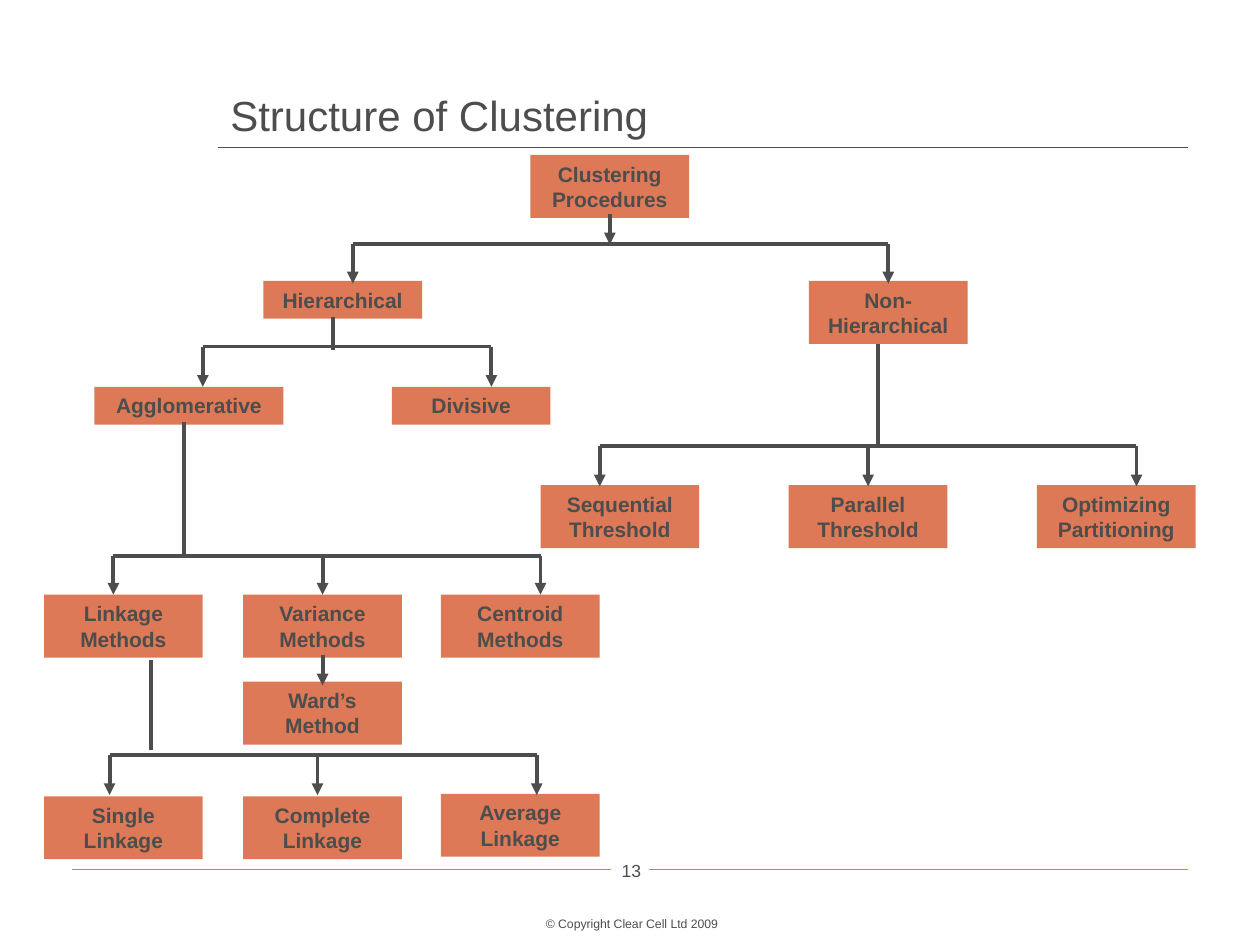
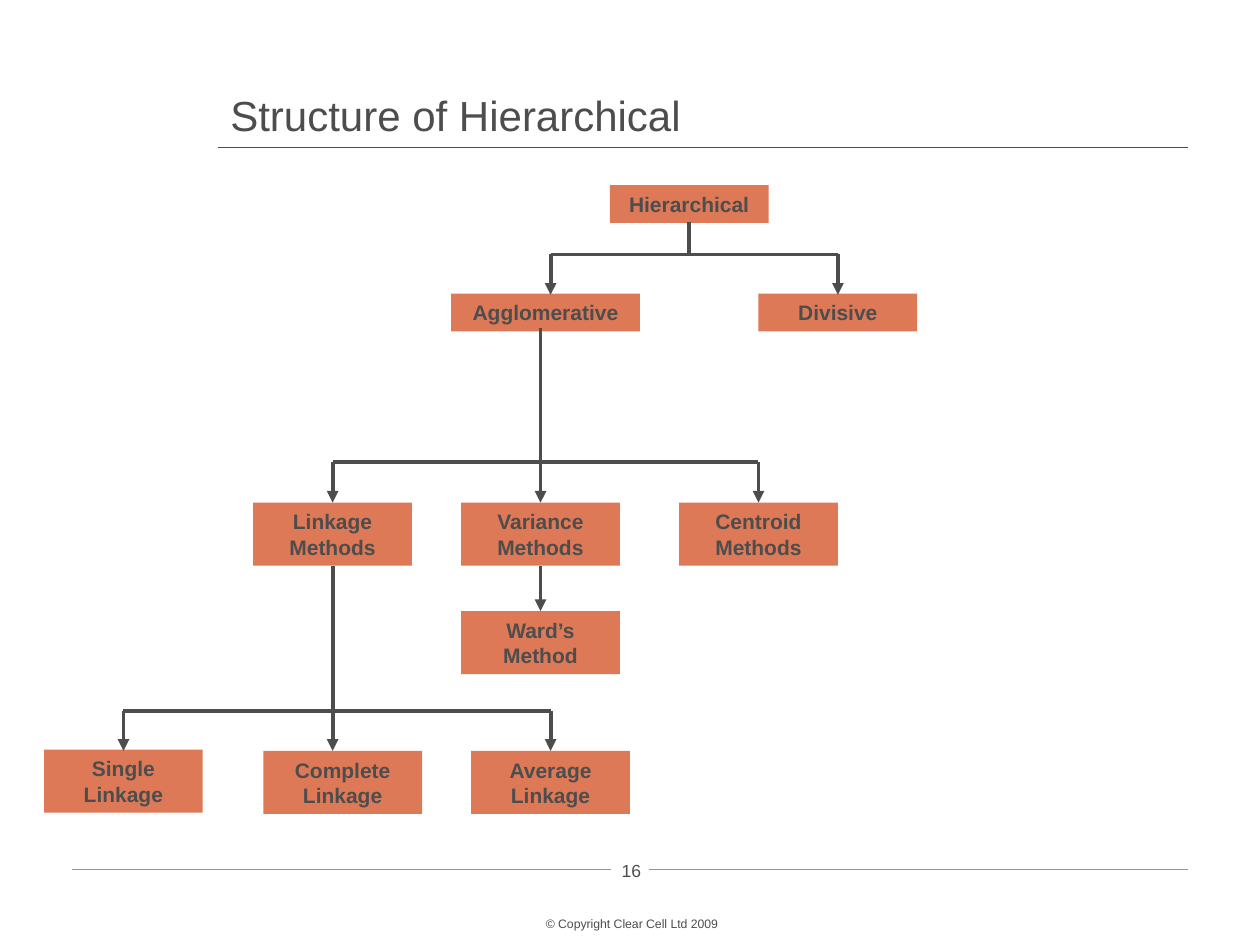
"""Build two slides of clustering tree diagrams."""
from lxml import etree
from pptx import Presentation, util as u
from pptx.dml.color import RGBColor
from pptx.enum import shapes, text
from pptx.oxml.ns import qn

COLORS = {"ink": "4D4D4D", "accent": "DD7956"}
FONT = "Arial"
COPYRIGHT = "© Copyright Clear Cell Ltd 2009"
BOX_W, ONE_LINE, TWO_LINES = 1.26, 0.3, 0.5

SLIDES = [
    {
        "title": "Structure of Clustering",
        "number": "13",
        "boxes": [
            ("Clustering Procedures", 4.21, 1.23, BOX_W, TWO_LINES),
            ("Hierarchical", 2.09, 2.23, BOX_W, ONE_LINE),
            ("Non-Hierarchical", 6.42, 2.23, BOX_W, TWO_LINES),
            ("Agglomerative", 0.75, 3.07, 1.5, ONE_LINE),
            ("Divisive", 3.11, 3.07, BOX_W, ONE_LINE),
            ("Sequential Threshold", 4.29, 3.85, BOX_W, TWO_LINES),
            ("Parallel Threshold", 6.26, 3.85, BOX_W, TWO_LINES),
            ("Optimizing Partitioning", 8.23, 3.85, BOX_W, TWO_LINES),
            ("Linkage Methods", 0.35, 4.72, BOX_W, TWO_LINES),
            ("Variance Methods", 1.93, 4.72, BOX_W, TWO_LINES),
            ("Centroid Methods", 3.5, 4.72, BOX_W, TWO_LINES),
            ("Ward’s Method", 1.93, 5.41, BOX_W, TWO_LINES),
            ("Single Linkage", 0.35, 6.32, BOX_W, TWO_LINES),
            ("Complete Linkage", 1.93, 6.32, BOX_W, TWO_LINES),
            ("Average Linkage", 3.5, 6.3, BOX_W, TWO_LINES),
        ],
        "branches": [
            (1.94, 2.25, [2.8, 7.05]),
            (2.75, 3.07, [1.61, 3.9]),
            (3.54, 3.86, [4.76, 6.89, 9.02]),
            (4.41, 4.72, [0.9, 2.56, 4.29]),
            (5.99, 6.31, [0.87, 2.52, 4.26]),
        ],
        "stems": [
            (4.84, 1.7, 1.94, True),
            (2.64, 2.52, 2.78, False),
            (6.97, 2.73, 3.54, False),
            (1.46, 3.35, 4.43, False),
            (2.56, 5.2, 5.44, True),
            (1.2, 5.24, 5.95, False),
        ],
    },
    {
        "title": "Structure of Hierarchical",
        "number": "16",
        "boxes": [
            ("Hierarchical", 4.84, 1.47, BOX_W, ONE_LINE),
            ("Agglomerative", 3.58, 2.33, 1.5, ONE_LINE),
            ("Divisive", 6.02, 2.33, BOX_W, ONE_LINE),
            ("Linkage Methods", 2.01, 3.99, BOX_W, TWO_LINES),
            ("Variance Methods", 3.66, 3.99, BOX_W, TWO_LINES),
            ("Centroid Methods", 5.39, 3.99, BOX_W, TWO_LINES),
            ("Ward’s Method", 3.66, 4.85, BOX_W, TWO_LINES),
            ("Single Linkage", 0.35, 5.95, BOX_W, TWO_LINES),
            ("Complete Linkage", 2.09, 5.96, BOX_W, TWO_LINES),
            ("Average Linkage", 3.74, 5.96, BOX_W, TWO_LINES),
        ],
        "branches": [
            (2.02, 2.34, [4.37, 6.65]),
            (3.67, 3.99, [2.64, 4.29, 6.02]),
            (5.64, 5.96, [0.98, 2.64, 4.37]),
        ],
        "stems": [
            (5.47, 1.76, 2.02, False),
            (4.29, 2.6, 3.67, False),
            (4.29, 4.49, 4.85, True),
            (2.64, 4.49, 5.64, False),
        ],
    },
]


def add_line(s, x1, y1, x2, y2, color="ink", width=2.25, arrow=False):
    c = s.shapes.add_connector(shapes.MSO_CONNECTOR.STRAIGHT,
                               *map(u.Inches, (x1, y1, x2, y2)))
    c.line.color.rgb = RGBColor.from_string(COLORS[color])
    c.line.width = u.Pt(width)
    if arrow:
        etree.SubElement(c.line._get_or_add_ln(), qn("a:tailEnd"), type="triangle")
    etree.SubElement(c._element.spPr, qn("a:effectLst"))


def add_text(s, words, x, y, w, h, size, fill=None, bold=False,
             align=text.PP_ALIGN.CENTER, anchor=text.MSO_ANCHOR.TOP):
    at = [u.Inches(v) for v in (x, y, w, h)]
    if fill:
        sp = s.shapes.add_shape(shapes.MSO_SHAPE.RECTANGLE, *at)
        sp.shadow.inherit = False
        sp.fill.solid()
        sp.fill.fore_color.rgb = RGBColor.from_string(COLORS[fill])
        sp.line.fill.background()
    else:
        sp = s.shapes.add_textbox(*at)
    tf = sp.text_frame
    tf.word_wrap = True
    tf.vertical_anchor = anchor
    p = tf.paragraphs[0]
    p.text = words
    p.alignment = align
    p.font.name = FONT
    p.font.size = u.Pt(size)
    p.font.bold = bold
    p.font.color.rgb = RGBColor.from_string(COLORS["ink"])


prs = Presentation()
prs.slide_width, prs.slide_height = u.Inches(10), u.Inches(7.5)

for page in SLIDES:
    s = prs.slides.add_slide(prs.slide_layouts[6])
    add_text(s, page["number"], 4.8, 6.78, 0.42, 0.33, 10)
    add_text(s, COPYRIGHT, 3.67, 7.22, 2.69, 0.22, 7)
    for left in (0.57, 5.15):
        add_line(s, left, 6.9, left + 4.28, 6.9, "accent", 0.75)
    add_line(s, 1.73, 1.17, 9.43, 1.17, width=0.75)
    add_text(s, page["title"], 1.73, 0.6, 7.78, 0.56, 24,
             align=text.PP_ALIGN.LEFT, anchor=text.MSO_ANCHOR.BOTTOM)

    for label, x, y, w, h in page["boxes"]:
        add_text(s, label, x, y, w, h, 12, fill="accent", bold=True)
    for top, bottom, xs in page["branches"]:
        add_line(s, xs[0], top, xs[-1], top)
        for x in xs:
            add_line(s, x, top, x, bottom, arrow=True)
    for x, top, bottom, arrow in page["stems"]:
        add_line(s, x, top, x, bottom, arrow=arrow)

prs.save("out.pptx")
